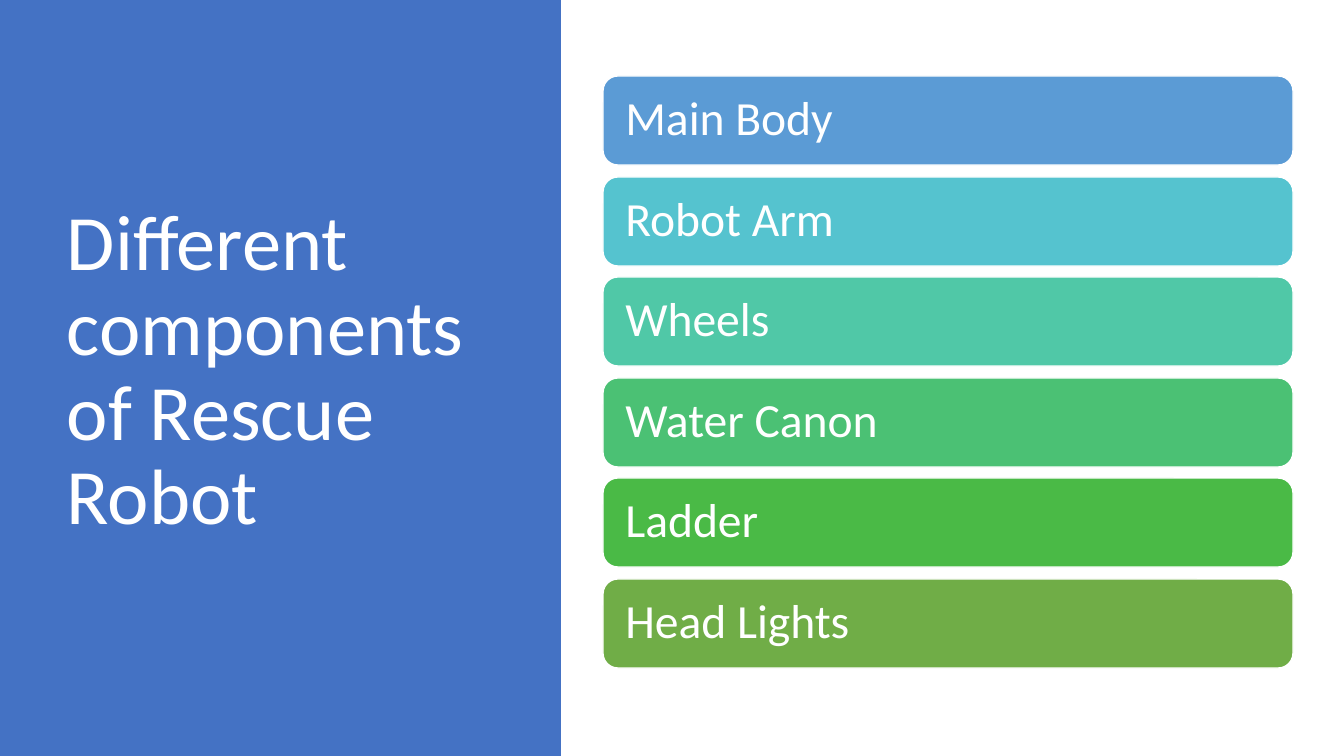
from pptx import Presentation
from pptx.dml.color import RGBColor
from pptx.enum.shapes import MSO_SHAPE
from pptx.enum.text import MSO_ANCHOR, PP_ALIGN
from pptx.util import Pt

EMU_PER_PX = 914400 / 100.8
WHITE = "FFFFFF"
COMPONENTS = [
    ("Main Body", "5B9BD5"),
    ("Robot Arm", "55C3CF"),
    ("Wheels", "50C8A7"),
    ("Water Canon", "4BC174"),
    ("Ladder", "4ABA46"),
    ("Head Lights", "70AD47"),
]
FIRST_TOP, LAST_TOP = 76, 579


def px(length):
    """Turn pixels into EMU."""
    return round(length * EMU_PER_PX)


def color(hex_code):
    """Turn a hex string into a colour."""
    return RGBColor.from_string(hex_code)


def write(shape, text, size, inset):
    """Write white, left-aligned, vertically centred text in a shape."""
    frame = shape.text_frame
    frame.word_wrap = True
    frame.vertical_anchor = MSO_ANCHOR.MIDDLE
    frame.margin_left = frame.margin_right = px(inset)
    frame.text = text
    paragraph = frame.paragraphs[0]
    paragraph.alignment = PP_ALIGN.LEFT
    paragraph.line_spacing = 0.9
    font = paragraph.runs[0].font
    font.name = "Calibri"
    font.size = Pt(size)
    font.color.rgb = color(WHITE)


def add_block(slide, kind, left, top, width, height, fill):
    """Add a filled shape without outline or shadow."""
    block = slide.shapes.add_shape(kind, px(left), px(top), px(width), px(height))
    block.shadow.inherit = False
    block.fill.solid()
    block.fill.fore_color.rgb = color(fill)
    block.line.fill.background()
    return block


def add_title(slide, text):
    """Add the slide title over the side panel."""
    title = slide.shapes.add_textbox(px(57), px(69), px(419), px(607))
    write(title, text, 56, 10)


def add_component(slide, top, label, fill):
    """Add one rounded bar naming a robot component."""
    bar = add_block(slide, MSO_SHAPE.ROUNDED_RECTANGLE, 603, top, 690, 89, fill)
    bar.line.color.rgb = color(WHITE)
    bar.line.width = Pt(1)
    write(bar, label, 34, 18)


def main():
    """Build and save the slide."""
    deck = Presentation()
    deck.slide_width, deck.slide_height = px(1344), px(756)
    slide = deck.slides.add_slide(deck.slide_layouts[6])
    add_block(slide, MSO_SHAPE.RECTANGLE, 0, 0, 561, 756, "4472C4")
    add_title(slide, "Different components of Rescue Robot")
    pitch = (LAST_TOP - FIRST_TOP) / (len(COMPONENTS) - 1)
    for row, (label, fill) in enumerate(COMPONENTS):
        add_component(slide, round(FIRST_TOP + row * pitch), label, fill)
    deck.save("out.pptx")


if __name__ == "__main__":
    main()
